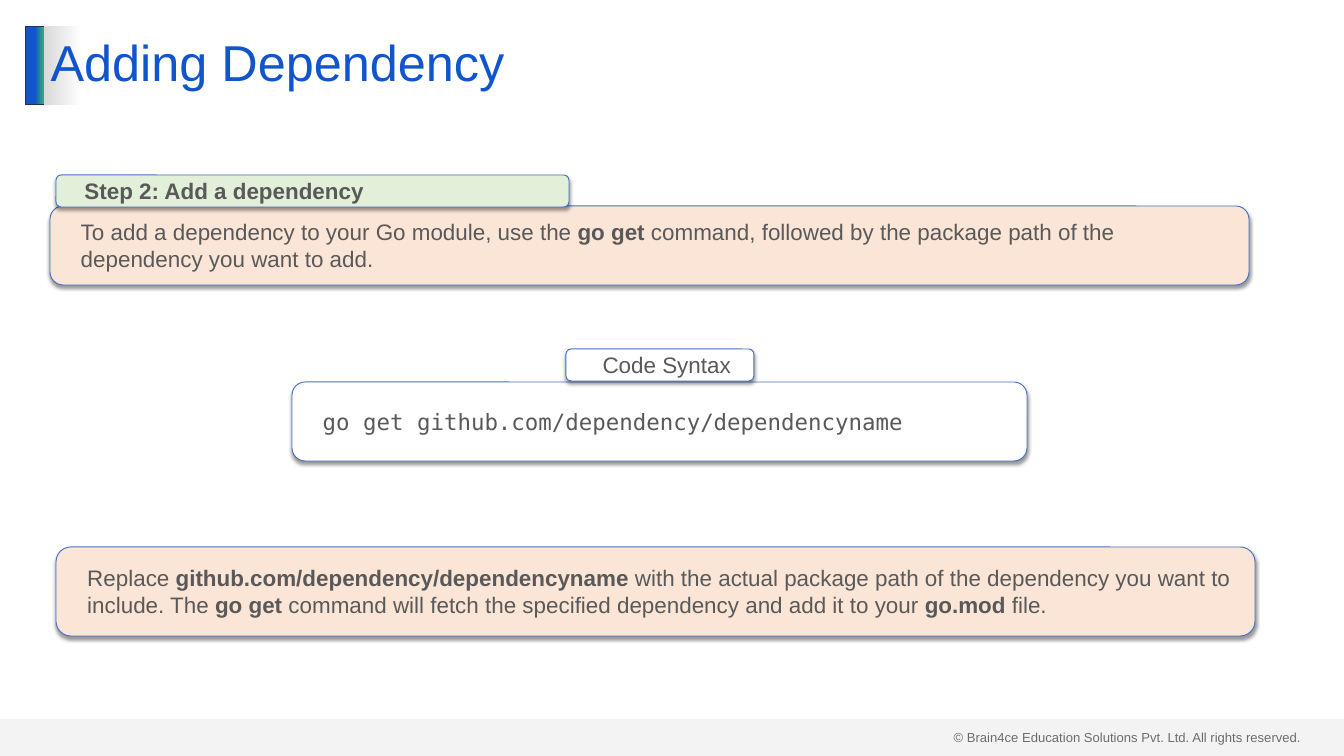
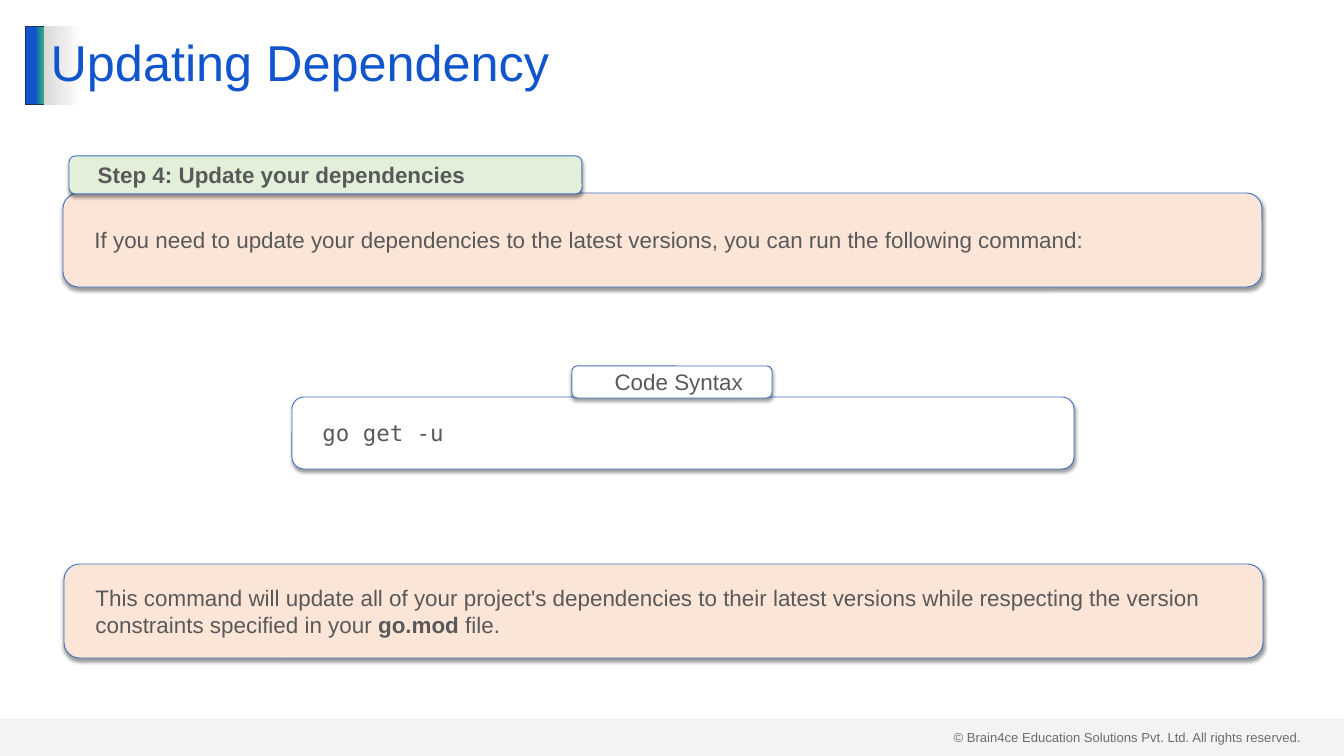
import pptx
import pptx.dml.color
import pptx.enum.shapes
import pptx.enum.text
import pptx.oxml
import pptx.oxml.ns
import pptx.util

RGB = pptx.dml.color.RGBColor.from_string
SHAPE = pptx.enum.shapes.MSO_SHAPE
ALIGN = pptx.enum.text.PP_ALIGN
SCALE = 914400 / 67.2


class Theme:
    blue = RGB("1155CC")
    green = RGB("2EA87D")
    navy = RGB("1E3256")
    outline = RGB("4472C4")
    grey = RGB("D9D9D9")
    white = RGB("FFFFFF")
    peach = RGB("FBE5D6")
    mint = RGB("E2F0D9")
    body_text = RGB("595959")
    footer_text = RGB("404040")
    sans = "Arial"
    mono = "DejaVu Sans Mono"
    title_size = pptx.util.Pt(54)
    body_size = pptx.util.Pt(24)
    footer_size = pptx.util.Pt(14)
    line_width = pptx.util.Pt(1)


SHADOW = (
    f'<a:outerShdw {pptx.oxml.ns.nsdecls("a")} blurRad="50800" dist="38100" dir="5400000" rotWithShape="0">'
    '<a:srgbClr val="000000"><a:alpha val="40000"/></a:srgbClr></a:outerShdw>'
)
ALPHA = f'<a:alpha {pptx.oxml.ns.nsdecls("a")} val="29000"/>'
COPYRIGHT = "© Brain4ce Education Solutions Pvt. Ltd. All rights reserved."

PANEL_STYLES = {
    "body": (Theme.peach, Theme.sans, ALIGN.LEFT),
    "code": (Theme.white, Theme.mono, ALIGN.LEFT),
    "label": (Theme.white, Theme.sans, ALIGN.CENTER),
    "step": (Theme.mint, Theme.sans, ALIGN.LEFT),
}

PAGES = [
    ("Adding Dependency", [
        ("body", (50, 206, 1199, 79),
         "To add a dependency to your Go module, use the **go get **command, "
         "followed by the package path of the dependency you want to add."),
        ("code", (292, 382, 735, 79), "go get github.com/dependency/dependencyname"),
        ("label", (566, 349, 188, 32), "Code Syntax"),
        ("step", (56, 175, 513, 32), "**Step 2: Add a dependency"),
        ("body", (56, 547, 1199, 89),
         "Replace **github.com/dependency/dependencyname **with the actual package path "
         "of the dependency you want to include. The **go get **command will fetch the "
         "specified dependency and add it to your **go.mod **file."),
    ]),
    ("Updating Dependency", [
        ("body", (63, 193, 1199, 94),
         "If you need to update your dependencies to the latest versions, "
         "you can run the following command:"),
        ("code", (292, 397, 782, 72), "go get -u"),
        ("label", (572, 366, 200, 32), "Code Syntax"),
        ("step", (69, 156, 513, 38), "**Step 4: Update your dependencies"),
        ("body", (64, 564, 1199, 94),
         "This command will update all of your project's dependencies to their latest "
         "versions while respecting the version constraints specified in your "
         "**go.mod **file."),
    ]),
]


def px(*lengths):
    return [pptx.util.Emu(round(length * SCALE)) for length in lengths]


def add_block(page, kind, frame, fill, line=None):
    box = page.shapes.add_shape(kind, *px(*frame))
    box.shadow.inherit = False
    if isinstance(fill, list):
        box.fill.gradient()
        box.fill.gradient_angle = 0
        for stop, (position, color) in zip(box.fill.gradient_stops, fill):
            stop.position = position
            stop.color.rgb = color
    else:
        box.fill.solid()
        box.fill.fore_color.rgb = fill
    if line is None:
        box.line.fill.background()
    else:
        box.line.color.rgb = line
        box.line.width = Theme.line_width
    return box


deck = pptx.Presentation()
deck.slide_width, deck.slide_height = px(1344, 756)

for title, panels in PAGES:
    page = deck.slides.add_slide(deck.slide_layouts[6])

    footer = page.shapes.add_textbox(*px(947, 726, 364, 23))
    footer.text_frame.word_wrap = True
    para = footer.text_frame.paragraphs[0]
    para.text = COPYRIGHT
    para.font.name = Theme.sans
    para.font.size = Theme.footer_size
    para.font.color.rgb = Theme.footer_text

    add_block(page, SHAPE.RECTANGLE, (25, 26, 20, 79),
              [(0.51, Theme.blue), (0.9, Theme.green)], Theme.navy)
    band = add_block(page, SHAPE.RECTANGLE, (0, 719, 1344, 37), Theme.grey)
    band_color = band.fill._xPr.find(".//" + pptx.oxml.ns.qn("a:srgbClr"))
    band_color.append(pptx.oxml.parse_xml(ALPHA))

    heading = add_block(page, SHAPE.RECTANGLE, (44, 26, 1255, 79),
                        [(0, Theme.grey), (0.03, Theme.white)])
    para = heading.text_frame.paragraphs[0]
    para.text = title
    para.alignment = ALIGN.LEFT
    para.line_spacing = 0.9
    para.font.name = Theme.sans
    para.font.size = Theme.title_size
    para.font.color.rgb = Theme.blue

    for style, frame, text in panels:
        fill, font, alignment = PANEL_STYLES[style]
        panel = add_block(page, SHAPE.ROUNDED_RECTANGLE, frame, fill, Theme.outline)
        effects = panel._element.spPr.find(pptx.oxml.ns.qn("a:effectLst"))
        effects.append(pptx.oxml.parse_xml(SHADOW))
        content = panel.text_frame
        content.margin_left = content.margin_right = pptx.util.Inches(0.2)
        content.margin_top = content.margin_bottom = pptx.util.Inches(0.1)
        para = content.paragraphs[0]
        para.alignment = alignment
        properties = para._p.get_or_add_pPr()
        properties.set("marL", str(pptx.util.Inches(0.2)))
        properties.set("indent", "0")
        para.font.name = font
        para.font.size = Theme.body_size
        para.font.color.rgb = Theme.body_text
        for index, part in enumerate(text.split("**")):
            if part:
                span = para.add_run()
                span.text = part
                span.font.bold = index % 2 == 1

deck.save("out.pptx")
